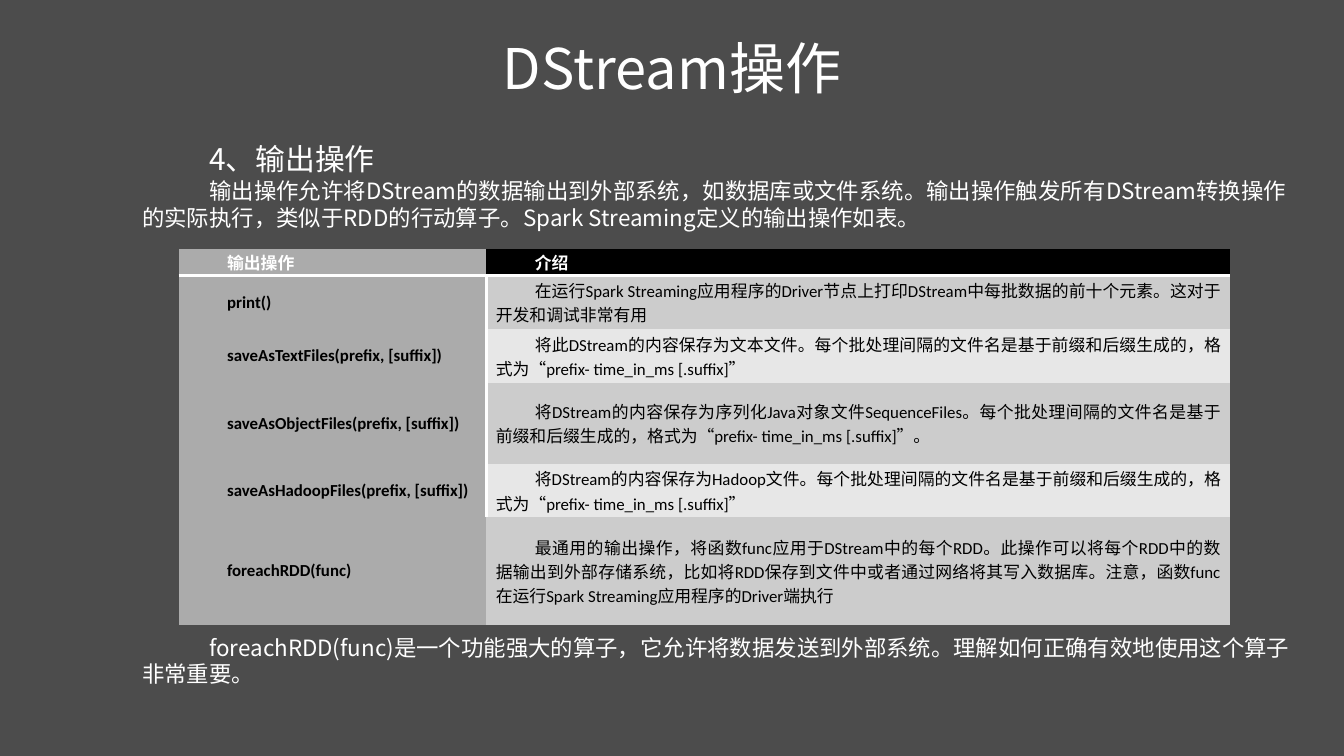
from pptx import Presentation, oxml, util as u
from pptx.dml.color import RGBColor
from pptx.enum import text
from pptx.oxml.ns import qn

CJK = "Noto Sans CJK SC"
NO_STYLE = "{2D5ABB26-0587-4C30-8999-92F81FD0307C}"
WHITE, BLACK, GREY = "FFFFFF", "000000", "ABABAB"
BANDS = ["CCCCCC", "E7E7E7"]
NAMING = ("每个批处理间隔的文件名是基于前缀和后缀生成的\uff0c"
          "格式为\u201cprefix- time_in_ms [.suffix]\u201d")

# Row height, operation, description
ROWS = [
    (0.2, "输出操作", "介绍"),
    (0.4, "print()",
     "在运行Spark Streaming应用程序的Driver节点上打印DStream中每批数据的前十个元素。"
     "这对于开发和调试非常有用"),
    (0.4, "saveAsTextFiles(prefix, [suffix])",
     "将此DStream的内容保存为文本文件。" + NAMING),
    (0.6, "saveAsObjectFiles(prefix, [suffix])",
     "将DStream的内容保存为序列化Java对象文件SequenceFiles。" + NAMING + "。"),
    (0.4, "saveAsHadoopFiles(prefix, [suffix])",
     "将DStream的内容保存为Hadoop文件。" + NAMING),
    (0.8, "foreachRDD(func)",
     "最通用的输出操作\uff0c将函数func应用于DStream中的每个RDD。"
     "此操作可以将每个RDD中的数据输出到外部存储系统\uff0c"
     "比如将RDD保存到文件中或者通过网络将其写入数据库。"
     "注意\uff0c函数func在运行Spark Streaming应用程序的Driver端执行"),
]
# Size, space before, wording
BODY = [
    (16, 0, "4、输出操作"),
    (12, 0,
     "输出操作允许将DStream的数据输出到外部系统\uff0c如数据库或文件系统。"
     "输出操作触发所有DStream转换操作的实际执行\uff0c类似于RDD的行动算子。"
     "Spark Streaming定义的输出操作如表。"),
    (12, 216,
     "foreachRDD(func)是一个功能强大的算子\uff0c它允许将数据发送到外部系统。"
     "理解如何正确有效地使用这个算子非常重要。"),
]


def rgb(value):
    return RGBColor.from_string(value)


def add_run(p, words, size, font, color, bold=False):
    r = p.add_run()
    r.text = words
    r.font.size, r.font.bold = u.Pt(size), bold
    r.font.color.rgb = rgb(color)
    r.font.name = font
    ea = oxml.parse_xml('<a:ea xmlns:a="http://schemas.openxmlformats.org/'
                        f'drawingml/2006/main" typeface="{CJK}"/>')
    r.font._element.append(ea)


def indent(p, inches):
    pPr = p._p.get_or_add_pPr()
    pPr.set("marL", "0")
    pPr.set("indent", str(u.Inches(inches)))


def border(cell, side, color=None):
    fill = (f'<a:solidFill><a:srgbClr val="{color}"/></a:solidFill>'
            if color else "<a:noFill/>")
    cell._tc.get_or_add_tcPr().append(oxml.parse_xml(
        f'<a:{side} xmlns:a="http://schemas.openxmlformats.org/drawingml/2006/main"'
        f' w="{u.Pt(2)}">{fill}</a:{side}>'))


def text_frame(s, box):
    tf = s.shapes.add_textbox(*map(u.Inches, box)).text_frame
    tf.word_wrap = True
    return tf


def add_title(s, box, words):
    tf = text_frame(s, box)
    tf.vertical_anchor = text.MSO_ANCHOR.MIDDLE
    p = tf.paragraphs[0]
    p.alignment = text.PP_ALIGN.CENTER
    add_run(p, words, 30, CJK, WHITE)


def add_body(s, box):
    tf = text_frame(s, box)
    for i, (size, before, words) in enumerate(BODY):
        p = tf.add_paragraph() if i else tf.paragraphs[0]
        p.space_before = u.Pt(before)
        indent(p, 0.5)
        add_run(p, words, size, CJK, WHITE)


def fill_cell(cell, words, row, col):
    header = row == 0
    # Rules: one under the header, one between the columns
    border(cell, "lnL", WHITE if col == 1 and 0 < row < 5 else None)
    border(cell, "lnR", WHITE if col == 0 and 0 < row < 5 else None)
    border(cell, "lnT", WHITE if row == 1 else None)
    border(cell, "lnB", WHITE if header else None)
    cell.fill.solid()
    color = GREY if col == 0 else BLACK if header else BANDS[(row - 1) % 2]
    cell.fill.fore_color.rgb = rgb(color)
    # Wording
    cell.vertical_anchor = text.MSO_ANCHOR.MIDDLE
    cell.margin_left = cell.margin_right = u.Inches(0.07)
    cell.margin_top = cell.margin_bottom = 0
    p = cell.text_frame.paragraphs[0]
    p.alignment = text.PP_ALIGN.JUSTIFY
    indent(p, 0.29)
    add_run(p, words, 9, "Calibri", WHITE if header else BLACK, header or col == 0)


def add_operations(s, box):
    table = s.shapes.add_table(len(ROWS), 2, *map(u.Inches, box)).table
    table._tbl.tblPr.find(qn("a:tableStyleId")).text = NO_STYLE
    table.horz_banding = False
    table.columns[0].width = u.Inches(2.29)
    table.columns[1].width = u.Inches(box[2] - 2.29)
    for row, (height, *cells) in enumerate(ROWS):
        table.rows[row].height = u.Inches(height)
        for col, words in enumerate(cells):
            fill_cell(table.cell(row, col), words, row, col)


prs = Presentation()
prs.slide_width = u.Inches(10)
prs.slide_height = prs.slide_width * 9 // 16
s = prs.slides.add_slide(prs.slide_layouts[6])
s.background.fill.solid()
s.background.fill.fore_color.rgb = rgb("4C4C4C")
add_title(s, (0, 0, 10, 1), "DStream操作")
add_body(s, (0.96, 1, 8.83, 4.63))
add_operations(s, (1.33, 1.85, 7.82, 2.8))
prs.save("out.pptx")
